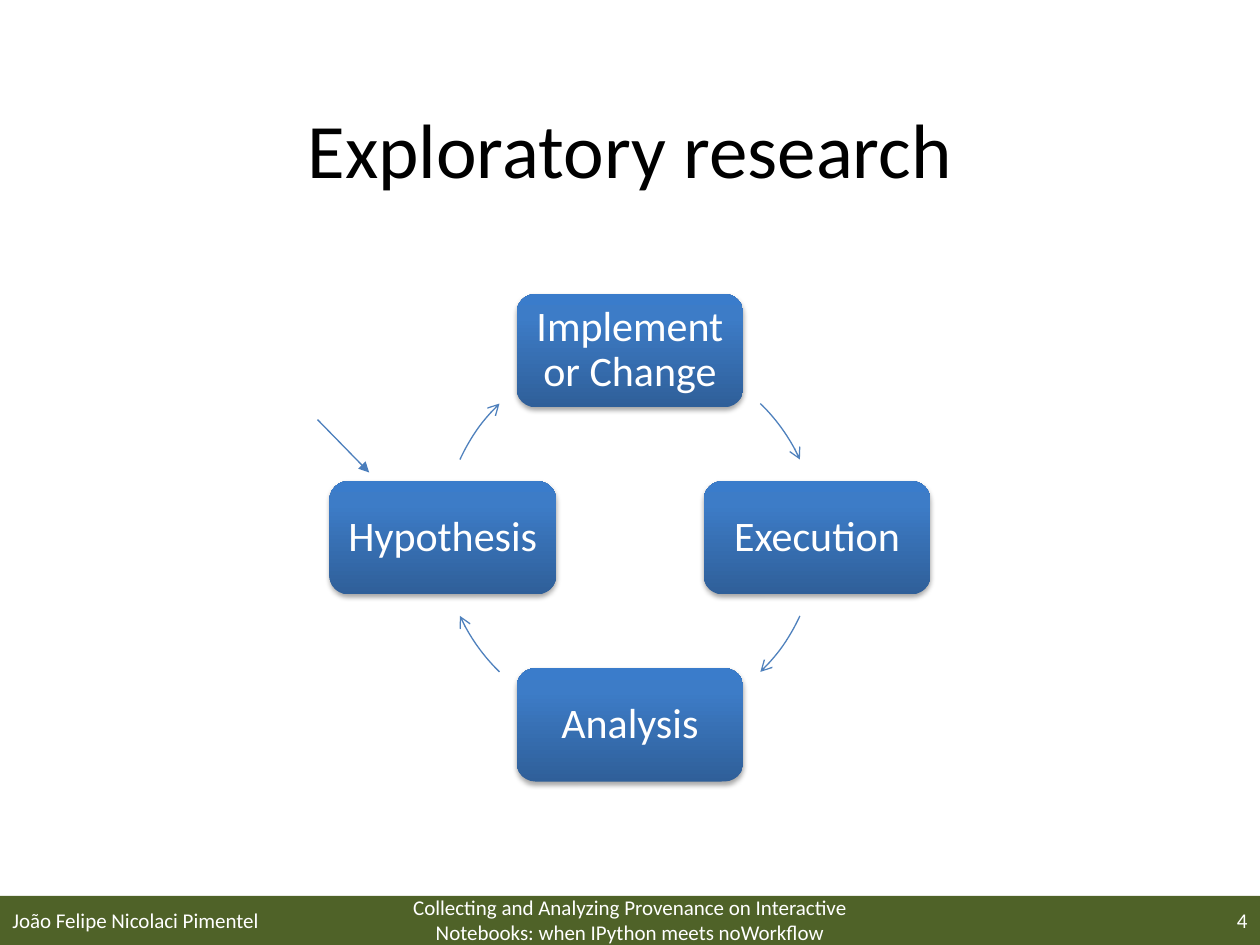
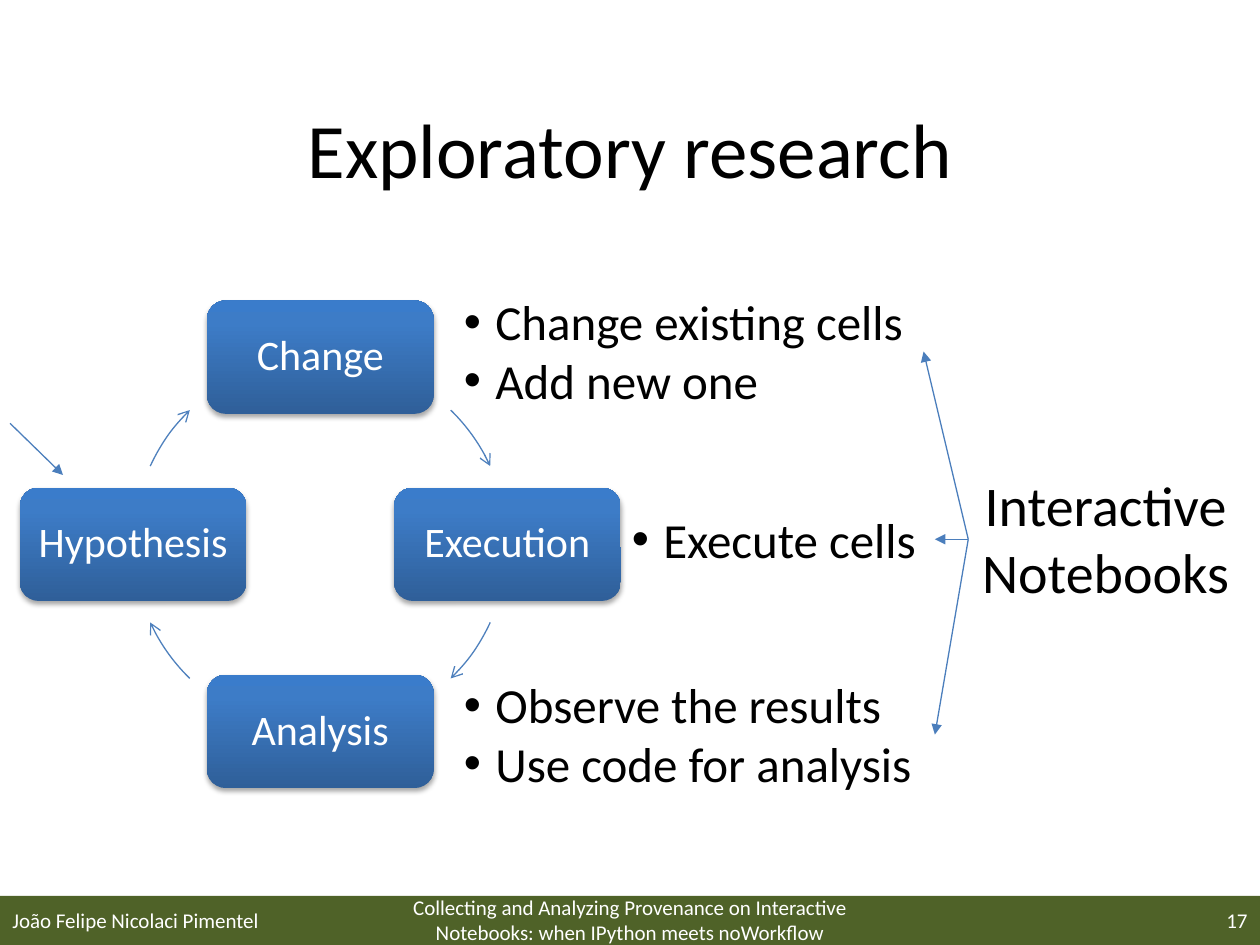
from dataclasses import dataclass
from math import cos, radians, sin
from copy import deepcopy

from lxml.etree import SubElement
from pptx import Presentation
from pptx.dml.color import RGBColor
from pptx.enum.shapes import MSO_CONNECTOR, MSO_SHAPE
from pptx.enum.text import MSO_ANCHOR, PP_ALIGN
from pptx.oxml.ns import qn
from pptx.util import Inches, Pt

# The slide is a grid of 100 columns by 75 rows of square cells
COLUMNS, ROWS = 100, 75
CELL = Inches(0.1)


@dataclass(frozen=True)
class Theme:
    font: str = "Calibri"
    text: str = "000000"
    light: str = "FFFFFF"
    band: str = "4F6228"
    arc: str = "4F81BD"
    arrow: str = "4B7EBC"
    node_stops: tuple = ((0, "2F5F99"), (0.8, "3D7CC7"), (1, "3A7CCB"))
    title_size: int = 44
    label_size: int = 32
    bullet_size: int = 28
    node_size: int = 24
    footer_size: int = 12
    line_width: float = 0.75


THEME = Theme()

# Cycle measures, in cells and degrees clockwise from the top
NODE_WIDTH, NODE_HEIGHT = 18, 9
RADIUS = 14.85
ARC_STARTS = (44.2, 114.7, 224.2, 294.7)
ARC_SWEEP = 21.1

AUTHOR = "João Felipe Nicolaci Pimentel"
TALK = ("Collecting and Analyzing Provenance on Interactive Notebooks: "
        "when IPython meets noWorkflow")


def cells(count):
    return round(count * CELL)


def box(left, top, width, height):
    return [cells(count) for count in (left, top, width, height)]


def color(value):
    return RGBColor.from_string(value)


def on_circle(center, bearing):
    angle = radians(bearing)
    return center[0] + RADIUS * sin(angle), center[1] - RADIUS * cos(angle)


# Text
def style(paragraph, size, font_color, align=PP_ALIGN.LEFT):
    paragraph.alignment = align
    paragraph.font.name = THEME.font
    paragraph.font.size = Pt(size)
    paragraph.font.color.rgb = color(font_color)


def add_text(slide, place, text, size, font_color=THEME.text,
             align=PP_ALIGN.LEFT, anchor=MSO_ANCHOR.TOP, wrap=True):
    frame = slide.shapes.add_textbox(*box(*place)).text_frame
    frame.word_wrap = wrap
    frame.vertical_anchor = anchor
    paragraph = frame.paragraphs[0]
    paragraph.text = text
    style(paragraph, size, font_color, align)


def add_bullets(slide, place, items):
    frame = slide.shapes.add_textbox(*box(*place)).text_frame
    frame.word_wrap = True
    for index, item in enumerate(items):
        paragraph = frame.add_paragraph() if index else frame.paragraphs[0]
        paragraph.text = item
        properties = paragraph._p.get_or_add_pPr()
        properties.set("marL", str(Inches(0.25)))
        properties.set("indent", str(-Inches(0.25)))
        SubElement(properties, qn("a:buFont"), typeface="Arial")
        SubElement(properties, qn("a:buChar"), char="•")
        style(paragraph, THEME.bullet_size, THEME.text)


# Lines
def format_line(shape, line_color, head):
    shape.line.color.rgb = color(line_color)
    shape.line.width = Pt(THEME.line_width)
    outline = shape.element.spPr.find(qn("a:ln"))
    SubElement(outline, qn("a:tailEnd"), type=head)


def add_arrow(slide, start, end):
    points = [cells(count) for count in (*start, *end)]
    connector = slide.shapes.add_connector(MSO_CONNECTOR.STRAIGHT, *points)
    format_line(connector, THEME.arrow, "triangle")
    SubElement(connector.element.spPr, qn("a:effectLst"))


def add_arc(slide, center, bearing):
    # The outline spans the whole circle, so that all arcs share one box
    left, top = center[0] - RADIUS, center[1] - RADIUS
    right, bottom = center[0] + RADIUS, center[1] + RADIUS
    builder = slide.shapes.build_freeform(cells(left), cells(top))
    builder.add_line_segments([(cells(right), cells(bottom))], close=False)
    arc = builder.convert_to_shape()

    # Its diagonal gives way to a true arc
    outline = next(arc.element.spPr.iter(qn("a:path")))
    for segment in list(outline):
        outline.remove(segment)
    x, y = on_circle((RADIUS, RADIUS), bearing)
    move = SubElement(outline, qn("a:moveTo"))
    SubElement(move, qn("a:pt"), x=str(cells(x)), y=str(cells(y)))
    radius = str(cells(RADIUS))
    SubElement(outline, qn("a:arcTo"), wR=radius, hR=radius,
               stAng=str(round((bearing - 90) % 360 * 60000)),
               swAng=str(round(ARC_SWEEP * 60000)))

    arc.shadow.inherit = False
    arc.fill.background()
    format_line(arc, THEME.arc, "arrow")


# Cycle of nodes
def fill_gradient(shape):
    shape.fill.gradient()
    shape.fill.gradient_angle = 90
    stop_list = shape.element.spPr.find(qn("a:gradFill")).find(qn("a:gsLst"))
    stop_list.append(deepcopy(stop_list[-1]))
    for stop, (position, value) in zip(shape.fill.gradient_stops,
                                       THEME.node_stops):
        stop.position = position
        stop.color.rgb = color(value)


def add_soft_shadow(shape):
    shape.shadow.inherit = False
    effects = shape.element.spPr.find(qn("a:effectLst"))
    shadow = SubElement(effects, qn("a:outerShdw"), blurRad=str(Pt(3.1)),
                        dist=str(Pt(1.8)), dir="5400000", rotWithShape="0")
    shade = SubElement(shadow, qn("a:srgbClr"), val="000000")
    SubElement(shade, qn("a:alpha"), val="35000")


def add_node(slide, center, text):
    left, top = center[0] - NODE_WIDTH / 2, center[1] - NODE_HEIGHT / 2
    node = slide.shapes.add_shape(MSO_SHAPE.ROUNDED_RECTANGLE,
                                  *box(left, top, NODE_WIDTH, NODE_HEIGHT))
    fill_gradient(node)
    node.line.fill.background()
    add_soft_shadow(node)
    frame = node.text_frame
    frame.word_wrap = True
    frame.vertical_anchor = MSO_ANCHOR.MIDDLE
    paragraph = frame.paragraphs[0]
    paragraph.text = text
    paragraph.line_spacing = 0.9
    style(paragraph, THEME.node_size, THEME.light, PP_ALIGN.CENTER)


def add_cycle(slide, center, names):
    for index, name in enumerate(names):
        add_node(slide, on_circle(center, index * 360 / len(names)), name)
    for bearing in ARC_STARTS:
        add_arc(slide, center, bearing)


# Shared frame of the slides
def add_footer(slide, number):
    band = slide.shapes.add_shape(MSO_SHAPE.RECTANGLE,
                                  *box(0, 71.1, COLUMNS, ROWS - 71.1))
    band.shadow.inherit = False
    band.fill.solid()
    band.fill.fore_color.rgb = color(THEME.band)
    band.line.fill.background()
    parts = ((0, 23.3, AUTHOR, PP_ALIGN.LEFT),
             (30.4, 39.2, TALK, PP_ALIGN.CENTER),
             (76.7, 23.3, str(number), PP_ALIGN.RIGHT))
    for left, width, text, align in parts:
        add_text(slide, (left, 71, width, 4), text, THEME.footer_size,
                 THEME.light, align, MSO_ANCHOR.MIDDLE)


def add_slide(presentation, title_text, number):
    slide = presentation.slides.add_slide(presentation.slide_layouts[5])
    title = slide.shapes.title
    title.left, title.top, title.width, title.height = box(5, 5.5, 90, 12.5)
    title.text_frame.vertical_anchor = MSO_ANCHOR.MIDDLE
    paragraph = title.text_frame.paragraphs[0]
    paragraph.text = title_text
    style(paragraph, THEME.title_size, THEME.text, PP_ALIGN.CENTER)
    add_footer(slide, number)
    return slide


def main():
    presentation = Presentation()
    presentation.slide_width = cells(COLUMNS)
    presentation.slide_height = cells(ROWS)

    # The research cycle
    slide = add_slide(presentation, "Exploratory research", 4)
    add_cycle(slide, (50, 42.68),
              ("Implement or Change", "Execution", "Analysis", "Hypothesis"))
    add_arrow(slide, (25.2, 33.3), (29.3, 37.5))

    # The cycle with interactive notebooks
    slide = add_slide(presentation, "Exploratory research", 17)
    add_cycle(slide, (25.42, 43.2),
              ("Change", "Execution", "Analysis", "Hypothesis"))
    add_arrow(slide, (0.8, 33.6), (5, 37.7))
    add_bullets(slide, (35.84, 22.66, 37.5, 10.4),
                ("Change existing cells", "Add new one"))
    add_bullets(slide, (49.16, 39.94, 25, 5.7), ("Execute cells",))
    add_bullets(slide, (35.84, 53.06, 38.3, 10.4),
                ("Observe the results", "Use code for analysis"))
    add_text(slide, (76.85, 36.86, 21.8, 11.8), "Interactive\nNotebooks",
             THEME.label_size, align=PP_ALIGN.CENTER, wrap=False)
    for target in ((74.2, 42.8), (73.3, 27.9), (74.2, 58.3)):
        add_arrow(slide, (76.85, 42.8), target)

    presentation.save("out.pptx")


if __name__ == "__main__":
    main()
